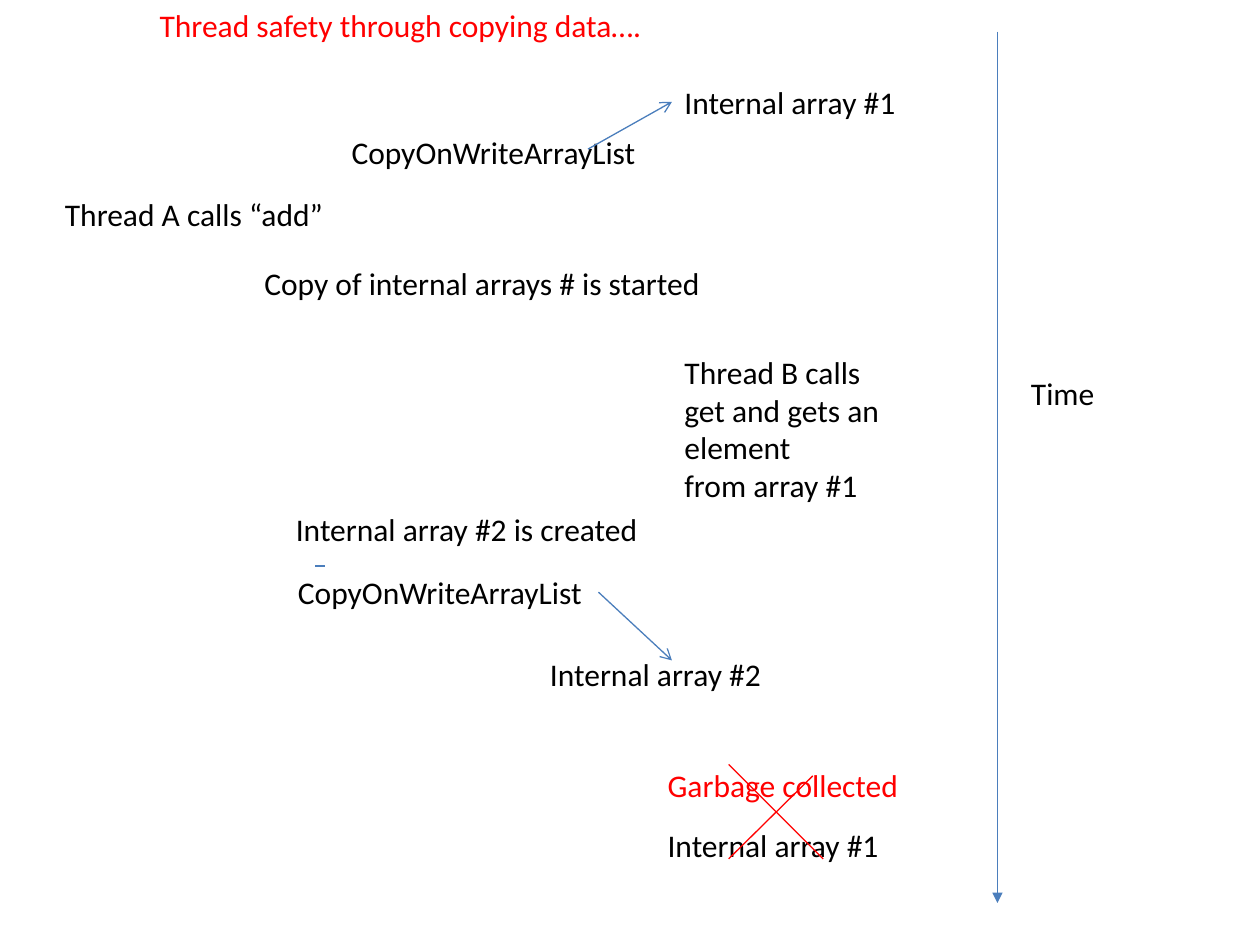
from dataclasses import dataclass
from lxml.etree import SubElement
from pptx import Presentation
from pptx.dml.color import RGBColor as Rgb
from pptx.enum.shapes import MSO_CONNECTOR as Link
from pptx.enum.text import MSO_ANCHOR as Anchor, MSO_AUTO_SIZE as Fit, PP_ALIGN as Align
from pptx.oxml.ns import qn
from pptx.util import Inches, Pt


@dataclass(frozen=True)
class Theme:
    font: str = "Calibri"
    size: float = 18
    line: float = 0.75
    ink: str = "000000"
    red: str = "FF0000"
    blue: str = "4B7EBC"


THEME = Theme()
COLS, ROWS = 120, 90
WIDTH, HEIGHT = Inches(10), Inches(7.5)
ROW = 4.8


def spot(col, row):
    return round(WIDTH * col / COLS), round(HEIGHT * row / ROWS)


def write(shape, lines, color, wrap=False):
    frame = shape.text_frame
    frame.word_wrap = wrap
    frame.auto_size = Fit.SHAPE_TO_FIT_TEXT
    frame.vertical_anchor = Anchor.TOP
    for num, line in enumerate(lines):
        para = frame.add_paragraph() if num else frame.paragraphs[0]
        para.alignment = Align.LEFT
        run = para.add_run()
        run.text = line
        run.font.name = THEME.font
        run.font.size = Pt(THEME.size)
        run.font.color.rgb = Rgb.from_string(color)


def add_title(slide, text, col, row, wide):
    title = slide.shapes.title
    title.left, title.top = spot(col, row)
    title.width, title.height = spot(wide, ROW)
    write(title, [text], THEME.red)


def add_label(slide, lines, col, row, wide, high=ROW, color=THEME.ink, wrap=False):
    box = slide.shapes.add_textbox(*spot(col, row), *spot(wide, high))
    write(box, lines, color, wrap)
    return box


def add_line(slide, start, end, color=THEME.blue, head=None):
    line = slide.shapes.add_connector(Link.STRAIGHT, *spot(*start), *spot(*end))
    line.line.color.rgb = Rgb.from_string(color)
    line.line.width = Pt(THEME.line)
    if head:
        SubElement(line.line._get_or_add_ln(), qn("a:tailEnd"), type=head)
    SubElement(line._element.spPr, qn("a:effectLst"))
    return line


def main():
    deck = Presentation()
    deck.slide_width, deck.slide_height = WIDTH, HEIGHT
    slide = deck.slides.add_slide(deck.slide_layouts[5])
    add_title(slide, "Thread safety through copying data….", 14, 0, 48.8)

    add_label(slide, ["CopyOnWriteArrayList"], 32.3, 12.1, 29.8)
    first = add_label(slide, ["Internal array #1"], 64, 7.3, 22.7)
    add_line(slide, (56, 14.2), (64, 10.2), head="arrow").end_connect(first, 1)

    add_label(slide, ["Thread A calls “add”"], 5, 18, 28)
    add_label(slide, ["Copy of internal arrays # is started"], 24, 24.6, 49, wrap=True)
    add_label(slide, ["Thread B calls", "get and gets an", "element", "from array #1"],
              64, 33, 22, 15.7)

    add_label(slide, ["Internal array #2 is created"], 27, 48, 35.3)
    add_line(slide, (30, 53.9), (31, 53.9))
    second = add_label(slide, ["CopyOnWriteArrayList"], 27.2, 54, 29.8)
    add_label(slide, ["Internal array #2"], 51.2, 61.8, 22.7)
    add_line(slide, (57, 56.9), (64, 62.9), head="arrow").begin_connect(second, 3)

    add_label(slide, ["Internal array #1"], 62.4, 78.1, 22.7)
    add_line(slide, (69.4, 72.8), (78.4, 81.8), THEME.red)
    add_line(slide, (69.4, 81.8), (77.4, 73.9), THEME.red)
    add_label(slide, ["Garbage collected"], 62.4, 72.4, 24.6, color=THEME.red)

    add_line(slide, (95, 3), (95, 86), head="triangle")
    add_label(slide, ["Time"], 97, 35, 8.5)
    deck.save("out.pptx")


if __name__ == "__main__":
    main()
